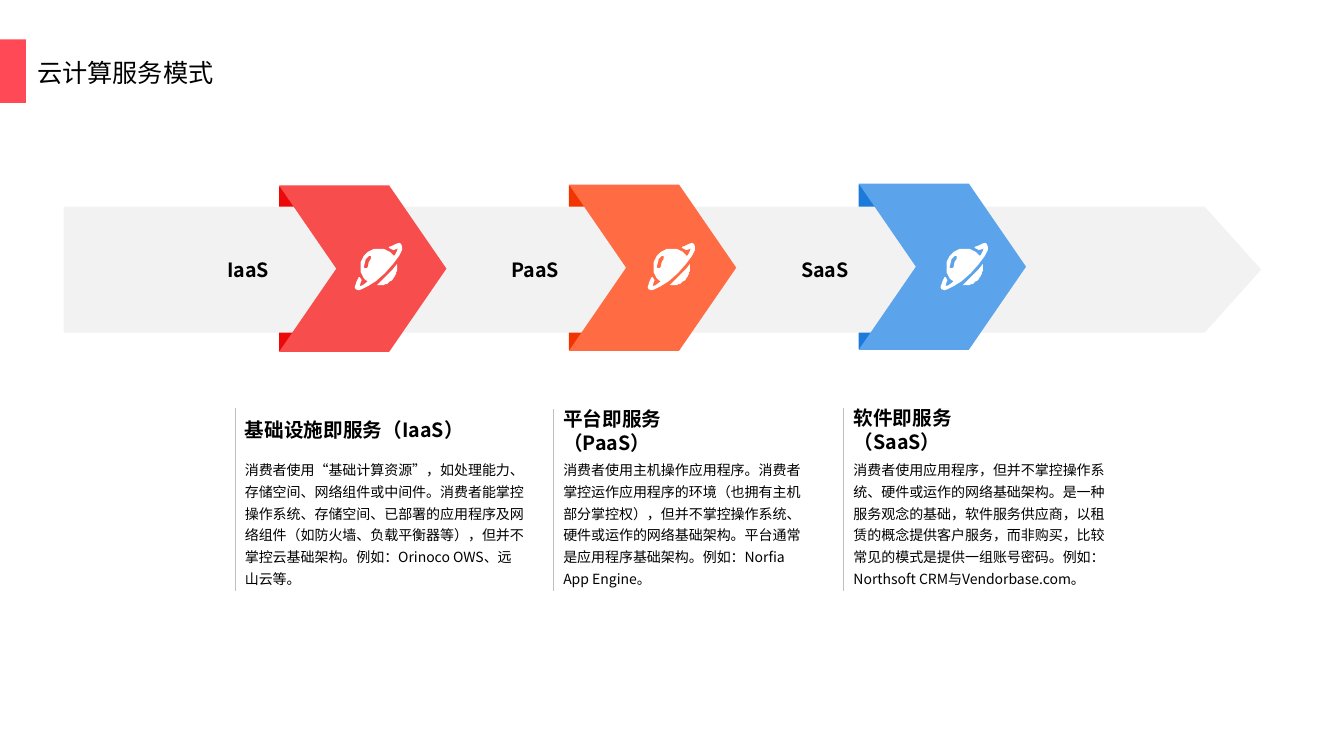
import math
import pptx
import pptx.util
import pptx.dml.color
import pptx.enum.shapes
import pptx.enum.text
from lxml import etree

Pt = pptx.util.Pt
RGB = pptx.dml.color.RGBColor
KIND = pptx.enum.shapes.MSO_SHAPE
ALIGN = pptx.enum.text.PP_ALIGN
ANCHOR = pptx.enum.text.MSO_ANCHOR

# Content
TITLE = "云计算服务模式"
# label, chevron colour, flap colour, heading, text, column left and top, heading width, text width
MODELS = [
    ("IaaS", RGB(0xF8, 0x4D, 0x4D), RGB(0xEB, 0x09, 0x09), "基础设施即服务（IaaS）",
     "消费者使用“基础计算资源”，如处理能力、存储空间、网络组件或中间件。"
     "消费者能掌控操作系统、存储空间、已部署的应用程序及网络组件"
     "（如防火墙、负载平衡器等），但并不掌控云基础架构。例如：Orinoco OWS、远山云等。",
     167.8, 291.6, 207.4, 213.8),
    ("PaaS", RGB(0xFF, 0x6B, 0x42), RGB(0xF1, 0x34, 0x00), "平台即服务（PaaS）",
     "消费者使用主机操作应用程序。消费者掌控运作应用程序的环境"
     "（也拥有主机部分掌控权），但并不掌控操作系统、硬件或运作的网络基础架构。"
     "平台通常是应用程序基础架构。例如：Norfia App Engine。",
     395.3, 292.3, 131, 187.2),
    ("SaaS", RGB(0x5B, 0xA3, 0xEB), RGB(0x1B, 0x7A, 0xDA), "软件即服务（SaaS）",
     "消费者使用应用程序，但并不掌控操作系统、硬件或运作的网络基础架构。"
     "是一种服务观念的基础，软件服务供应商，以租赁的概念提供客户服务，而非购买，"
     "比较常见的模式是提供一组账号密码。例如：Northsoft CRM与Vendorbase.com。",
     602.6, 291.6, 131, 196.6),
]

# Look
FONT = "Noto Sans CJK SC"
BLACK = RGB(0, 0, 0)
WHITE = RGB(0xFF, 0xFF, 0xFF)
RED = RGB(0xFF, 0x49, 0x57)
PALE = RGB(0xF2, 0xF2, 0xF2)
GREY = RGB(0xBF, 0xBF, 0xBF)
NS = "{http://schemas.openxmlformats.org/drawingml/2006/main}"

# Chevron row
LEFT, TOP, STEP, RISE = 199.4, 132.5, 207, 0.7
FOOT = 421.9

prs = pptx.Presentation()
prs.slide_width, prs.slide_height = Pt(960), Pt(540)
slide = prs.slides.add_slide(prs.slide_layouts[6])
shapes = slide.shapes


def paint(shape, fill):
    shape.shadow.inherit = False
    shape.fill.solid()
    shape.fill.fore_color.rgb = fill
    shape.line.fill.background()


def block(kind, x, y, w, h, fill, point=None):
    shape = shapes.add_shape(kind, Pt(x), Pt(y), Pt(w), Pt(h))
    paint(shape, fill)
    if point:
        shape.adjustments[0] = point
    return shape


def write(shape, text, size, bold=False, align=ALIGN.LEFT, anchor=ANCHOR.MIDDLE, space=None):
    frame = shape.text_frame
    frame.word_wrap = True
    frame.vertical_anchor = anchor
    frame.text = text
    para = frame.paragraphs[0]
    para.alignment = align
    para.line_spacing = space
    font = para.runs[0].font
    font.name, font.size, font.bold = FONT, Pt(size), bold
    font.color.rgb = BLACK
    east = etree.SubElement(para.runs[0]._r.get_or_add_rPr(), NS + "ea")
    east.set("typeface", FONT)


def label(x, y, w, h, *args, **style):
    write(shapes.add_textbox(Pt(x), Pt(y), Pt(w), Pt(h)), *args, **style)


def rule(x, top, foot):
    line = shapes.add_connector(pptx.enum.shapes.MSO_CONNECTOR.STRAIGHT,
                                Pt(x), Pt(top), Pt(x), Pt(foot))
    line.line.color.rgb = GREY
    line.line.width = Pt(0.25)
    etree.SubElement(line._element.spPr, NS + "effectLst")


def arc(start, end):
    turns = [math.radians(start + (end - start) * n / 24) for n in range(25)]
    return [(24 + 18.3 * math.cos(t), 24 + 18.3 * math.sin(t)) for t in turns]


# Planet outlines on a 47-unit grid: lower part, shine, ring with body
PLANET = [
    arc(-9, 96) + [(32, 32), (37.5, 26.5)],
    [(15, 13), (14, 13), (11, 16), (9.5, 20), (9, 24), (10, 25), (12, 25), (13, 24),
     (14, 19), (16, 16), (16.5, 14.5), (16, 13)],
    [(44, 0), (46, 1), (47.3, 3.5), (47, 7), (44, 13), (38, 21), (30, 30), (21, 38),
     (13, 43), (7, 46.5), (3.5, 47.3), (1, 46), (0, 44), (1, 41), (2, 38), (4, 34),
     (5, 34), (7, 37), (6, 39), (5, 43), (8, 42), (12, 39), (13, 38)]
    + arc(135, 315)
    + [(39, 13), (39.5, 12), (42, 8), (43, 5), (41.5, 5.5), (39, 7), (38, 7),
       (34, 5), (34, 4), (37, 3), (41, 1)],
]


def planet(x, y):
    pen = None
    for ring in PLANET:
        if pen is None:
            pen = shapes.build_freeform(*ring[0], scale=Pt(72) / 100)
        else:
            pen.move_to(*ring[0])
        pen.add_line_segments(ring[1:], close=True)
    paint(pen.convert_to_shape(Pt(x), Pt(y)), WHITE)


# Title
block(KIND.RECTANGLE, 0, 28.1, 19.4, 45.4, RED)
head = block(KIND.RECTANGLE, 19.4, 28.1, 907.2, 45.4, WHITE)
head.line.color.rgb = WHITE
head.line.width = Pt(1)
write(head, TITLE, 18, space=Pt(24))

# Flaps go behind the band
for i, model in enumerate(MODELS):
    block(KIND.RECTANGLE, LEFT + i * STEP, TOP + 0.7 - i * RISE, 78.5, 117.4, model[2])
block(KIND.PENTAGON, 45.4, 147.6, 855.4, 90, PALE, 0.448)

# Chevrons and columns
for i, (name, fill, flap, title, text, x, y, wide, room) in enumerate(MODELS):
    edge = LEFT + i * STEP
    block(KIND.CHEVRON, edge, TOP - i * RISE, 119.5, 118.8, fill, 0.344)
    planet(253.4 + i * 209.2, 173.5)
    label(edge - 88, 177.1, 88, 31, name, 14, bold=True, align=ALIGN.RIGHT)
    label(x, y, wide, 31, title, 14, bold=True)
    label(x, 322.4, room, 100, text, 10, anchor=ANCHOR.TOP, space=1.3)
    rule(x, y, FOOT)

prs.save("out.pptx")
